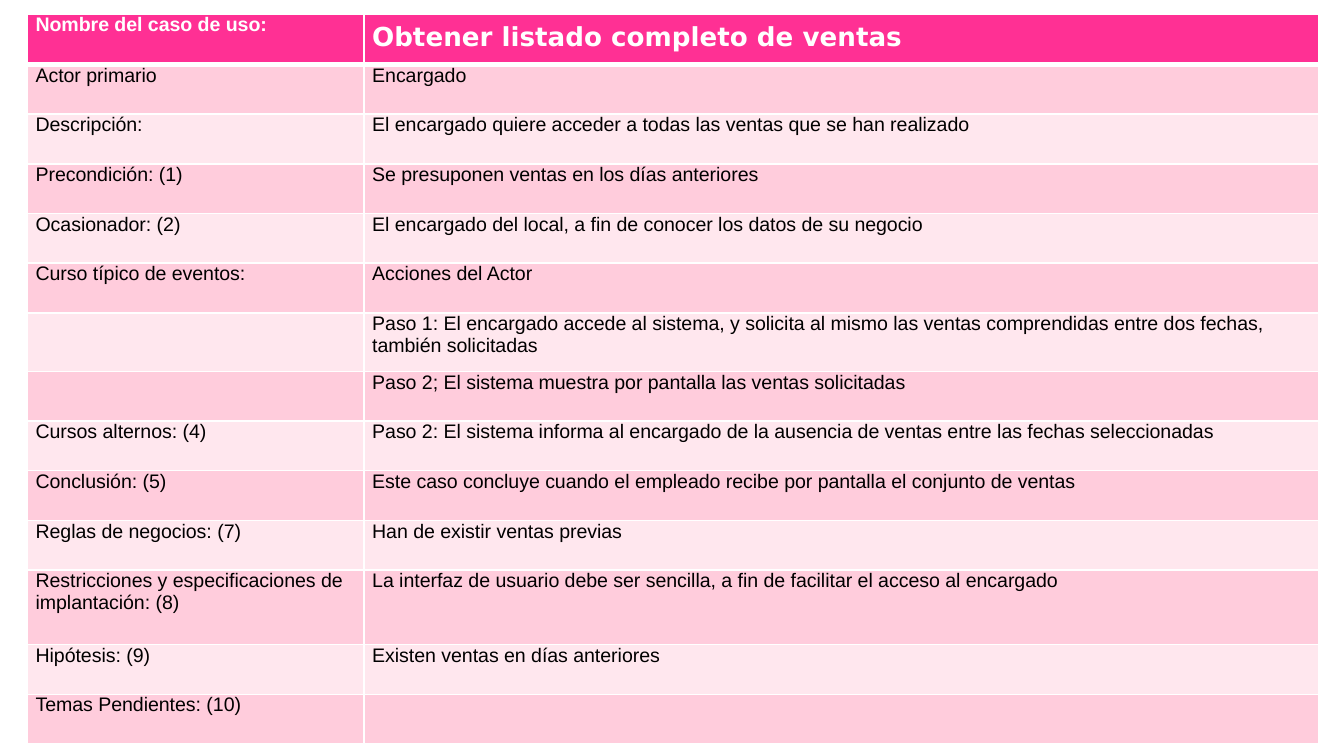
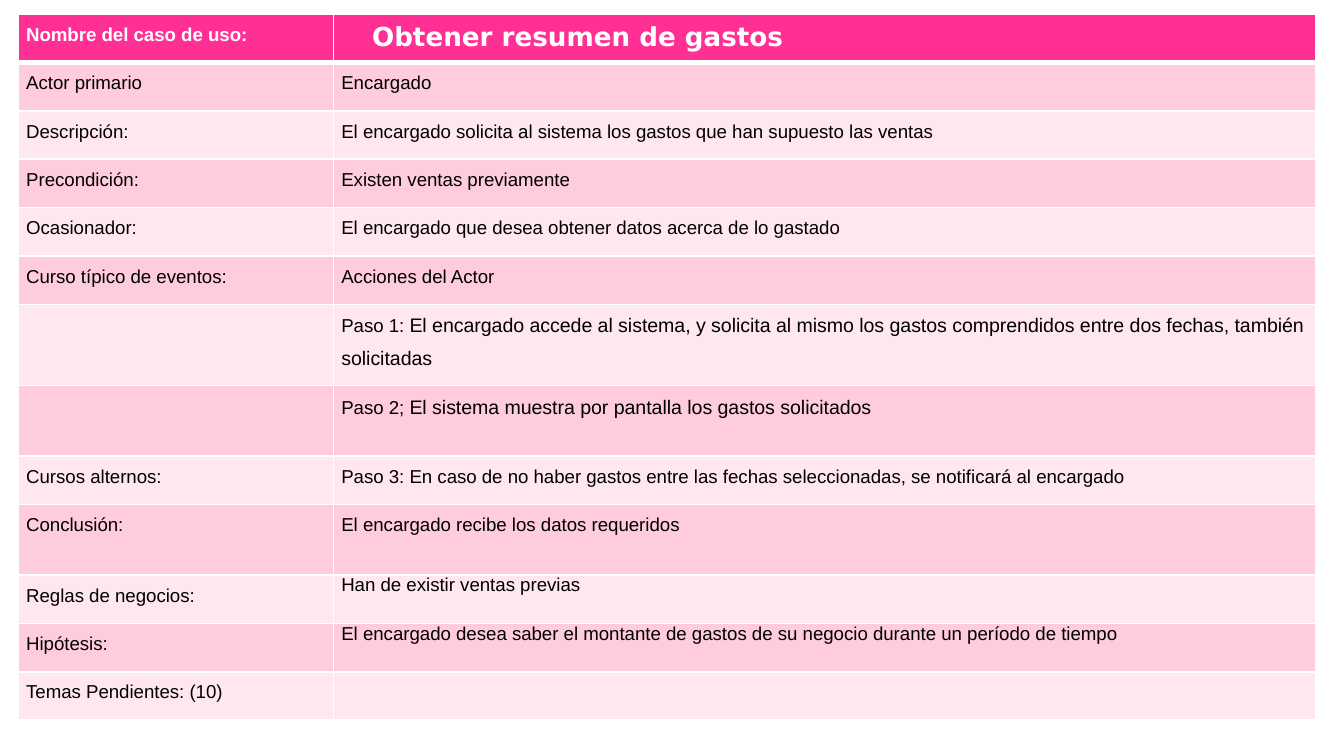
import pptx
import pptx.dml.color
import pptx.enum.text
import pptx.oxml.ns
import pptx.util
from lxml import etree

PX = 4572
SLIDE_WIDTH, SLIDE_HEIGHT = 2000, 1125
WHITE = pptx.dml.color.RGBColor(0xFF, 0xFF, 0xFF)
BLACK = pptx.dml.color.RGBColor(0x00, 0x00, 0x00)
HEADER_PINK = pptx.dml.color.RGBColor(0xFF, 0x30, 0x94)
BAND_PINKS = (
    pptx.dml.color.RGBColor(0xFF, 0xCC, 0xDC),
    pptx.dml.color.RGBColor(0xFF, 0xE7, 0xEE),
)
BODY_FONT, TITLE_FONT = "Arial", "DejaVu Sans"
TITLE_BOX = (534, 12, 1326, 82)
HEADER_LABEL = "Nombre del caso de uso:"

SALES_ROWS = [
    (HEADER_LABEL, ""),
    ("Actor primario", "Encargado"),
    ("Descripción:", "El encargado quiere acceder a todas las ventas que se han realizado"),
    ("Precondición: (1)", "Se presuponen ventas en los días anteriores"),
    ("Ocasionador: (2)", "El encargado del local, a fin de conocer los datos de su negocio"),
    ("Curso típico de eventos:", "Acciones del Actor"),
    ("", "Paso 1: El encargado accede al sistema, y solicita al mismo las ventas "
         "comprendidas entre dos fechas, también solicitadas"),
    ("", "Paso 2; El sistema muestra por pantalla las ventas solicitadas"),
    ("Cursos alternos: (4)", "Paso 2: El sistema informa al encargado de la ausencia de ventas "
                             "entre las fechas seleccionadas"),
    ("Conclusión: (5)", "Este caso concluye cuando el empleado recibe por pantalla "
                        "el conjunto de ventas"),
    ("Reglas de negocios: (7)", "Han de existir ventas previas"),
    ("Restricciones y especificaciones de implantación: (8)",
     "La interfaz de usuario debe ser sencilla, a fin de facilitar el acceso al encargado"),
    ("Hipótesis: (9)", "Existen ventas en días anteriores"),
    ("Temas Pendientes: (10)", ""),
]
EXPENSE_ROWS = [
    (HEADER_LABEL, ""),
    ("Actor primario", "Encargado"),
    ("Descripción:", "El encargado solicita al sistema los gastos que han supuesto las ventas"),
    ("Precondición:", "Existen ventas previamente"),
    ("Ocasionador:", "El encargado que desea obtener datos acerca de lo gastado"),
    ("Curso típico de eventos:", "Acciones del Actor"),
    ("", [("Paso 1: ", 10),
          ("El encargado accede al sistema, y solicita al mismo los gastos comprendidos "
           "entre dos fechas, también solicitadas", 10.5)]),
    ("", [("Paso 2; ", 10), ("El sistema muestra por pantalla los gastos solicitados", 10.5)]),
    ("Cursos alternos:", "Paso 3: En caso de no haber gastos entre las fechas seleccionadas, "
                         "se notificará al encargado"),
    ("Conclusión:", "El encargado recibe los datos requeridos"),
    ("Reglas de negocios:", "Han de existir ventas previas"),
    ("Hipótesis:", "El encargado desea saber el montante de gastos de su negocio "
                   "durante un período de tiempo"),
    ("Temas Pendientes: (10)", ""),
]


def style_font(font, name, size, color, bold):
    """Give a font its face, size, colour and weight."""
    font.name, font.size, font.bold = name, pptx.util.Pt(size), bold
    font.color.rgb = color


def draw_borders(cell, top, bottom):
    """Draw white cell borders, with the top and bottom widths in points."""
    properties = cell._tc.get_or_add_tcPr()
    for side, width in (("L", 1), ("R", 1), ("T", top), ("B", bottom)):
        line = etree.SubElement(properties, pptx.oxml.ns.qn("a:ln" + side),
                                w=str(pptx.util.Pt(width)))
        fill = etree.SubElement(line, pptx.oxml.ns.qn("a:solidFill"))
        etree.SubElement(fill, pptx.oxml.ns.qn("a:srgbClr"), val=str(WHITE))


def fill_cell(cell, content, row, size, spacing):
    """Write one cell in the style of its row."""
    header = row == 0
    cell.margin_left = cell.margin_right = 12 * PX
    cell.margin_top = cell.margin_bottom = 0
    draw_borders(cell, 3 if row == 1 else 1, 3 if header else 1)
    cell.fill.solid()
    cell.fill.fore_color.rgb = HEADER_PINK if header else BAND_PINKS[(row - 1) % 2]
    para = cell.text_frame.paragraphs[0]
    para.line_spacing = spacing
    style_font(para.font, BODY_FONT, size, WHITE if header else BLACK, header)
    if isinstance(content, str):
        para.text = content
        return
    for text, span_size in content:
        span = para.add_run()
        span.text = text
        span.font.size = pptx.util.Pt(span_size)


def add_case_table(page, box, label_width, rows, heights, size, spacing, single_spaced=()):
    """Place the two-column use case table in its box."""
    left, top, width = box
    frame = page.shapes.add_table(len(rows), 2, left * PX, top * PX,
                                  width * PX, sum(heights) * PX)
    table = frame.table
    table.first_row = table.horz_banding = False
    table.columns[0].width = label_width * PX
    table.columns[1].width = (width - label_width) * PX
    for row, (contents, height) in enumerate(zip(rows, heights)):
        table.rows[row].height = height * PX
        for column, content in enumerate(contents):
            single = column == 1 and row in single_spaced
            fill_cell(table.cell(row, column), content, row, size, 1.0 if single else spacing)


def add_case_title(page, box, text):
    """Write the use case name over the table header."""
    frame = page.shapes.add_textbox(*(length * PX for length in box)).text_frame
    frame.word_wrap = True
    frame.vertical_anchor = pptx.enum.text.MSO_ANCHOR.MIDDLE
    para = frame.paragraphs[0]
    para.text = text
    style_font(para.font, TITLE_FONT, 14, WHITE, True)


def add_case_page(deck, title, **table):
    """Add a page with a use case table and its title."""
    page = deck.slides.add_slide(deck.slide_layouts[6])
    add_case_table(page, **table)
    add_case_title(page, TITLE_BOX, title)


def main():
    """Build and save the deck."""
    deck = pptx.Presentation()
    deck.slide_width = SLIDE_WIDTH * PX
    deck.slide_height = SLIDE_HEIGHT * PX
    add_case_page(deck, "Obtener listado completo de ventas",
                  box=(41, 21, 1921), label_width=501, rows=SALES_ROWS,
                  heights=[75] + [74] * 5 + [87] + [74] * 4 + [111] + [74] * 2,
                  size=10.5, spacing=1.0)
    add_case_page(deck, "Obtener resumen de gastos",
                  box=(27, 21, 1931), label_width=469, rows=EXPENSE_ROWS,
                  heights=[72] * 6 + [121, 105, 72, 105] + [72] * 3,
                  size=10, spacing=1.5, single_spaced=(10, 11))
    deck.save("out.pptx")


if __name__ == "__main__":
    main()
